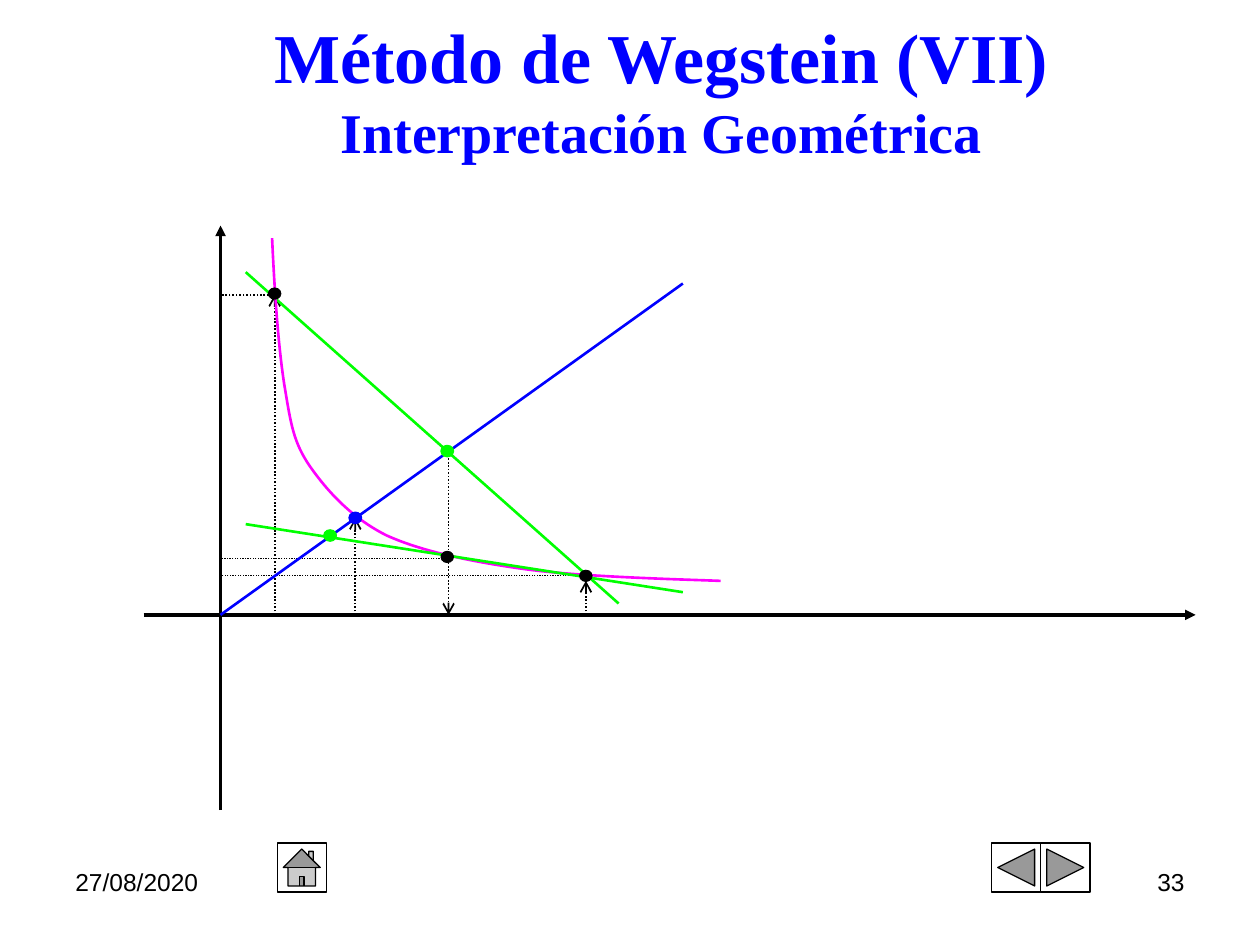
from lxml import etree
from pptx import Presentation
from pptx.dml.color import RGBColor
from pptx.enum import dml, shapes, text
from pptx.oxml.ns import qn
from pptx.util import Inches, Pt

BLACK, WHITE, BLUE, GREEN, MAGENTA = "000000", "FFFFFF", "0000FF", "00FF00", "FF00FF"
AXIS_X, AXIS_Y = 1.75, 4.88
DOT_WIDTH, DOT_HEIGHT = 0.1, 0.09
BUTTON_SIZE, BUTTON_TOP = 0.39, 6.69

# Start point, then two control points and an end point for each segment
CURVE = [
    (2.16, 1.89),
    (2.18, 2.32), (2.21, 2.76), (2.26, 3.07),
    (2.31, 3.37), (2.33, 3.51), (2.46, 3.7),
    (2.6, 3.9), (2.79, 4.11), (3.07, 4.25),
    (3.36, 4.38), (3.75, 4.46), (4.19, 4.52),
    (4.64, 4.58), (5.47, 4.6), (5.72, 4.61),
]


def rgb(value):
    return RGBColor.from_string(value)


def set_font(font, **values):
    font.color.rgb = rgb(values.pop("color"))
    for name, value in values.items():
        setattr(font, name, value)


def set_line(line, color, width):
    line.color.rgb = rgb(color)
    line.width = Pt(width)


def add_title(slide):
    title = slide.shapes.title
    place = {"left": 0.75, "top": 0.21, "width": 9, "height": 0.99}
    for side, inches in place.items():
        setattr(title, side, Inches(inches))
    frame = title.text_frame
    frame.auto_size = text.MSO_AUTO_SIZE.NONE
    frame.vertical_anchor = text.MSO_ANCHOR.MIDDLE
    paragraph = frame.paragraphs[0]
    paragraph.alignment = text.PP_ALIGN.CENTER
    paragraph.line_spacing = 1.0
    heading = paragraph.add_run()
    heading.text = "Método de Wegstein (VII)"
    paragraph.add_line_break()
    subheading = paragraph.add_run()
    subheading.text = "Interpretación Geométrica"
    for run, size in ((heading, 40), (subheading, 32)):
        set_font(run.font, name="Times New Roman", size=Pt(size), bold=True, color=BLUE)


def add_footer(slide, left, wording, alignment):
    box = slide.shapes.add_textbox(Inches(left), Inches(6.83), Inches(2.33), Inches(0.52))
    box.text_frame.word_wrap = True
    paragraph = box.text_frame.paragraphs[0]
    paragraph.text = wording
    paragraph.alignment = alignment
    set_font(paragraph.runs[0].font, name="Arial", size=Pt(14), color=BLACK)


def add_preset(parent, kind, left, top, width, height, fill, line_width, line_color):
    shape = parent.add_shape(kind, Inches(left), Inches(top), Inches(width), Inches(height))
    shape.shadow.inherit = False
    shape.fill.solid()
    shape.fill.fore_color.rgb = rgb(fill)
    set_line(shape.line, line_color, line_width)


def add_button(slide, kind, left):
    add_preset(slide.shapes, kind, left, BUTTON_TOP, BUTTON_SIZE, BUTTON_SIZE,
               WHITE, 0.75, BLACK)


def add_dot(plot, center_x, center_y, color, line_width=0):
    add_preset(plot, shapes.MSO_SHAPE.OVAL, center_x - DOT_WIDTH / 2,
               center_y - DOT_HEIGHT / 2, DOT_WIDTH, DOT_HEIGHT, color, line_width, color)


def add_line(plot, start, end, color=BLACK, width=1.5, dotted=False, arrow=None):
    """Draw a straight line; arrow is the type of head at its end."""
    points = [Inches(value) for value in (*start, *end)]
    connector = plot.add_connector(shapes.MSO_CONNECTOR.STRAIGHT, *points)
    set_line(connector.line, color, width)
    if dotted:
        connector.line.dash_style = dml.MSO_LINE.ROUND_DOT
    if arrow:
        etree.SubElement(connector.line._get_or_add_ln(), qn("a:tailEnd"), type=arrow)
    etree.SubElement(connector._element.spPr, qn("a:effectLst"))


def add_curve(plot, points, color, width):
    """Draw cubic segments by grouping the outline's points in threes."""
    units = [(round(x * 100), round(y * 100)) for x, y in points]
    builder = plot.build_freeform(*units[0], scale=Inches(0.01))
    builder.add_line_segments(units[1:], close=False)
    curve = builder.convert_to_shape()
    curve.shadow.inherit = False
    curve.fill.background()
    set_line(curve.line, color, width)
    outline = curve._element.find(".//" + qn("a:path"))
    steps = outline.findall(qn("a:lnTo"))
    for first in range(0, len(steps), 3):
        segment = etree.SubElement(outline, qn("a:cubicBezTo"))
        for step in steps[first:first + 3]:
            segment.append(step[0])
            outline.remove(step)


def add_plot(slide):
    plot = slide.shapes.add_group_shape().shapes
    add_line(plot, (1.14, AXIS_Y), (9.49, AXIS_Y), width=2, arrow="triangle")
    add_line(plot, (AXIS_X, 6.43), (AXIS_X, 1.79), width=2, arrow="triangle")

    for x, y, width in ((2.16, 2.34, 1), (4.7, 4.57, 0.75), (3.53, 4.43, 0.75)):
        add_line(plot, (x, y), (AXIS_X, y), width=width, dotted=True)
    for x, y in ((4.65, 4.61), (2.82, 4.11), (2.18, 2.34)):
        add_line(plot, (x, AXIS_Y), (x, y), width=1, dotted=True, arrow="arrow")
    add_line(plot, (3.56, 3.61), (3.56, AXIS_Y), width=1, dotted=True, arrow="arrow")

    add_line(plot, (AXIS_X, AXIS_Y), (5.42, 2.25), BLUE)
    add_line(plot, (1.95, 2.16), (4.91, 4.79), GREEN)
    add_curve(plot, CURVE, MAGENTA, 1.5)
    add_line(plot, (1.95, 4.16), (5.42, 4.7), GREEN)

    add_dot(plot, 2.82, 4.11, BLUE)
    for x, y in ((3.55, 3.58), (2.62, 4.25)):
        add_dot(plot, x, y, GREEN)
    for x, y in ((3.55, 4.42), (2.18, 2.33), (4.65, 4.57)):
        add_dot(plot, x, y, BLACK, 0.5)


def main():
    deck = Presentation()
    deck.slide_width, deck.slide_height = Inches(10), Inches(7.5)
    slide = deck.slides.add_slide(deck.slide_layouts[5])
    add_footer(slide, 0.5, "27/08/2020", text.PP_ALIGN.LEFT)
    add_footer(slide, 7.17, "33", text.PP_ALIGN.RIGHT)
    button = shapes.MSO_SHAPE
    add_button(slide, button.ACTION_BUTTON_FORWARD_OR_NEXT, 7.87 + BUTTON_SIZE)
    add_button(slide, button.ACTION_BUTTON_BACK_OR_PREVIOUS, 7.87)
    add_button(slide, button.ACTION_BUTTON_HOME, 2.2)
    add_title(slide)
    add_plot(slide)
    deck.save("out.pptx")


if __name__ == "__main__":
    main()
